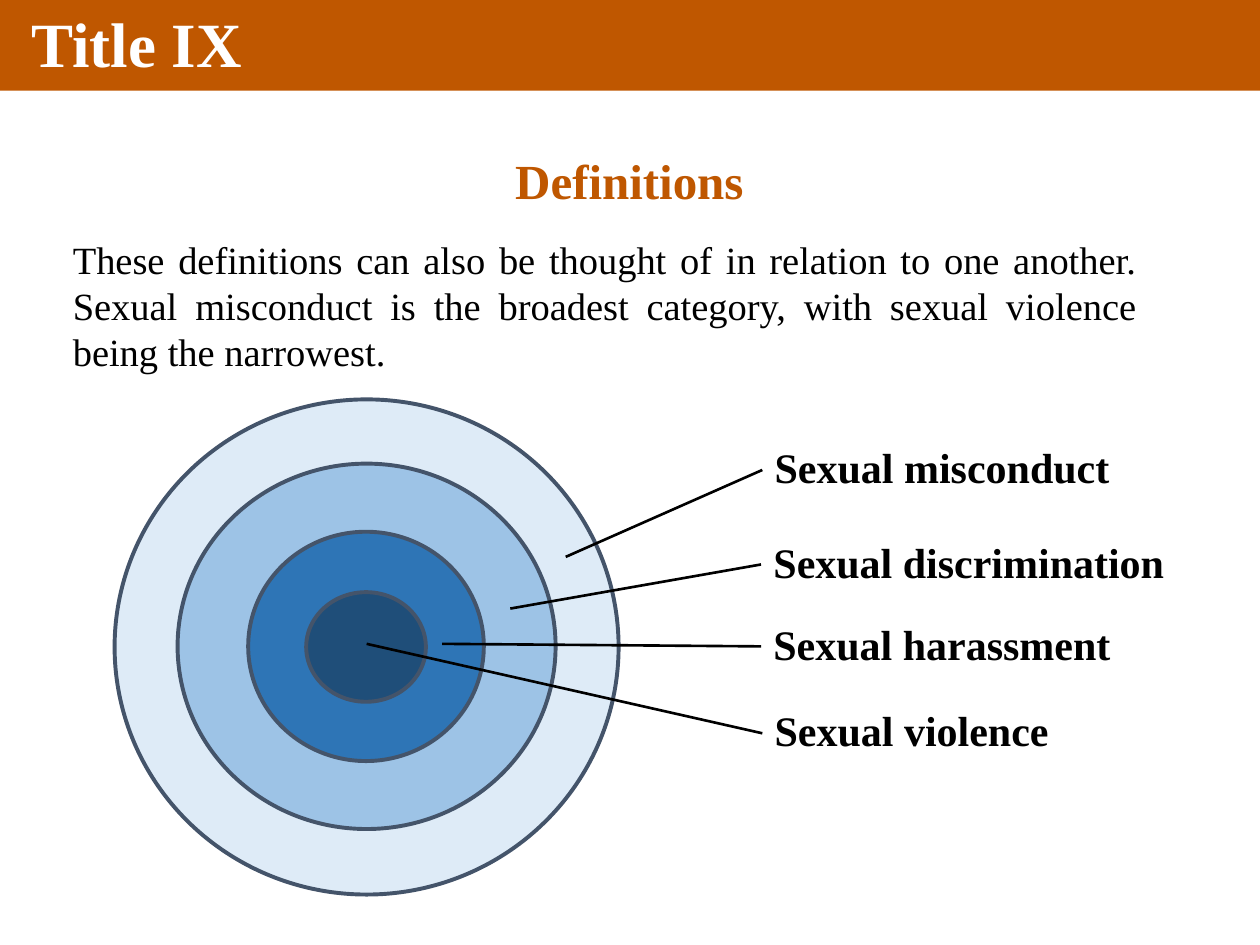
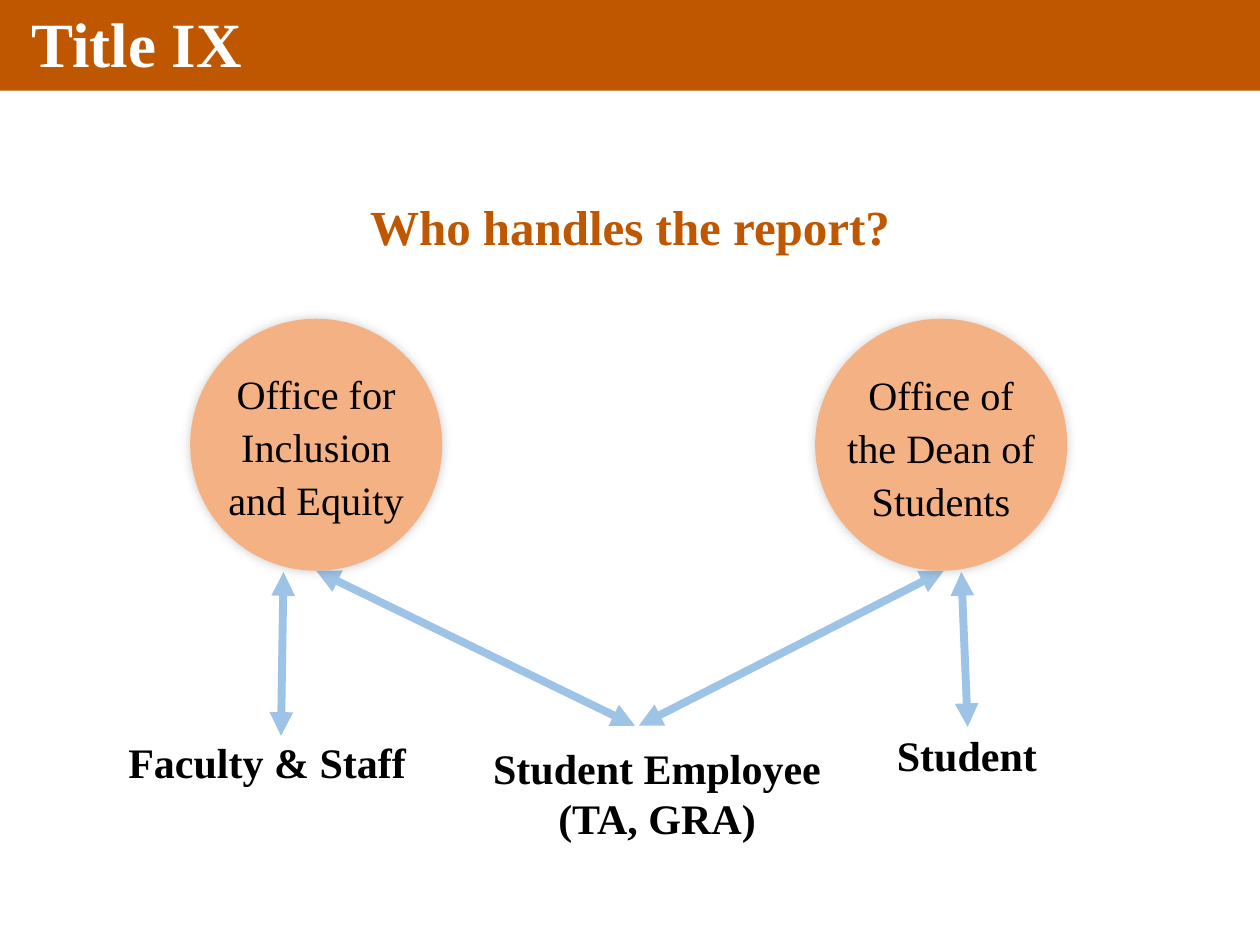
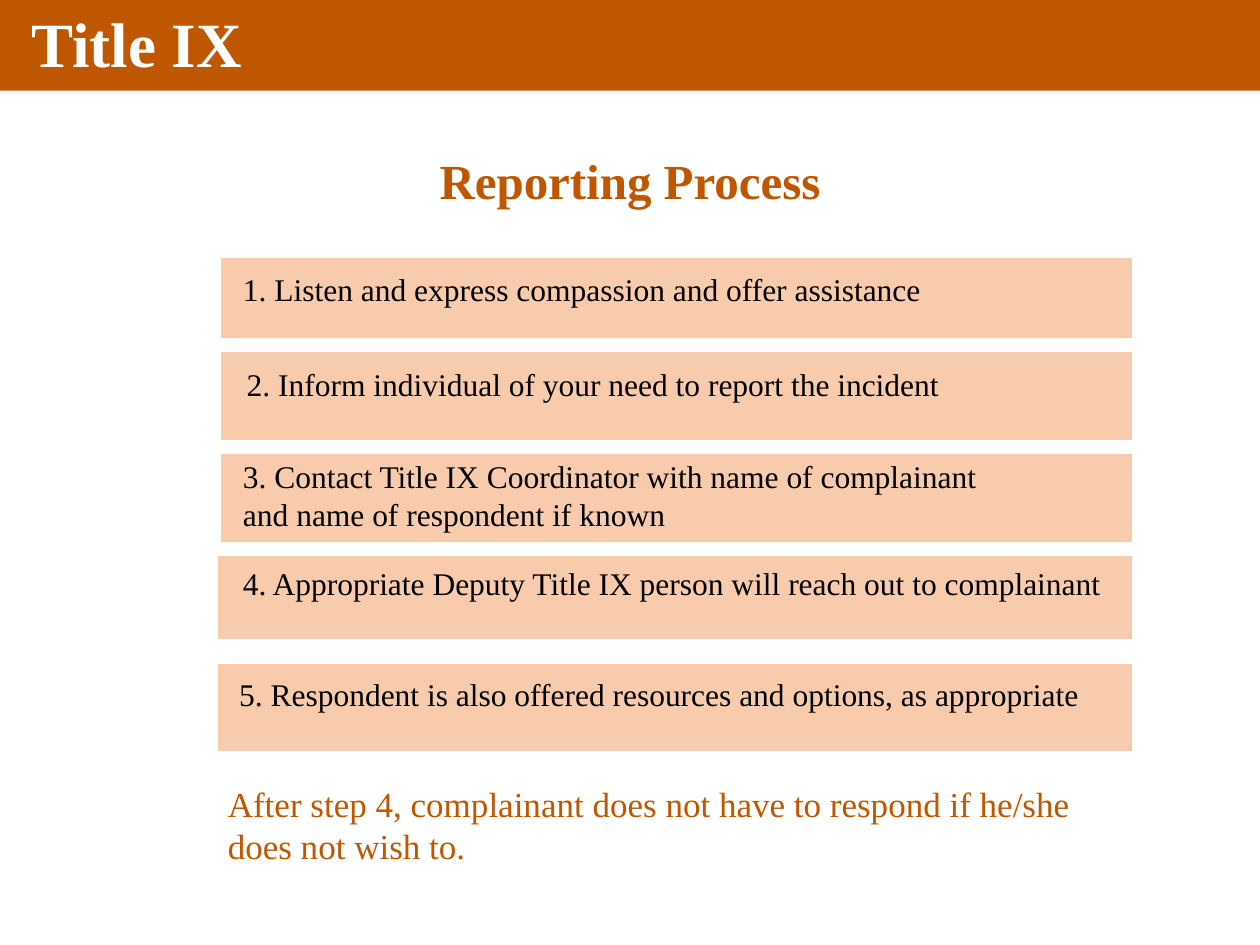
"""Build three Title IX slides: definitions, report handling and reporting process."""
import dataclasses

import lxml.etree
import pptx
import pptx.dml.color
import pptx.enum.shapes
import pptx.enum.text
import pptx.oxml.ns
import pptx.util

PX = 9144
SHAPE = pptx.enum.shapes.MSO_SHAPE
ALIGN = pptx.enum.text.PP_ALIGN
ANCHOR = pptx.enum.text.MSO_ANCHOR
FIT = pptx.enum.text.MSO_AUTO_SIZE
qn = pptx.oxml.ns.qn


@dataclasses.dataclass(frozen=True)
class Theme:
    """Colours, font and type sizes."""
    font: str = "Times New Roman"
    brand: str = "BF5700"
    white: str = "FFFFFF"
    black: str = "000000"
    ring_line: str = "44546A"
    rings: tuple = ("DEEBF7", "9DC3E6", "2E75B6", "1F4E79")
    arrow: str = "9DC3E6"
    office: str = "F4B183"
    step: str = "F8CBAD"
    banner_size: int = 36
    heading_size: int = 28
    label_size: int = 24
    office_size: int = 23
    body_size: int = 22
    note_size: int = 20
    step_size: int = 18


def px(*values):
    """Turn pixel lengths into EMU."""
    return [pptx.util.Emu(v * PX) for v in values]


def rgb(value):
    """Turn a hex string into a colour."""
    return pptx.dml.color.RGBColor.from_string(value)


class Deck:
    """Hold the style and the current slide, and draw elements on it."""

    def __init__(self, theme):
        """Start an empty 10 by 7.5 inch presentation."""
        self.theme = theme
        self.prs = pptx.Presentation()
        self.prs.slide_width, self.prs.slide_height = px(1000, 750)
        self.layout = self.prs.slide_layouts[5]
        self.s = None

    def slide(self, heading, left, top, width):
        """Add a slide with its heading in the title placeholder."""
        self.s = self.prs.slides.add_slide(self.layout)
        if len(self.prs.slides) == 1:
            self.banner("Title IX")
        title = self.s.shapes.title
        title.left, title.top, title.width, title.height = px(left, top, width, 114)
        self.fill_text(title, heading, self.theme.heading_size, self.theme.brand, True,
                       ALIGN.CENTER, 0.9, ANCHOR.MIDDLE, FIT.NONE)

    def banner(self, text):
        """Place the shared band and its text on the layout."""
        t = self.theme
        band = self.shape(SHAPE.RECTANGLE, (0, 0, 1000, 72), t.brand)
        name = self.text(text, (15, 1, 672, 72), t.banner_size, t.white, True,
                         spacing=0.9, anchor=ANCHOR.MIDDLE, fit=FIT.NONE)
        for i, sp in enumerate((band, name)):
            sp.element.nvSpPr.cNvPr.id = 20 + i
            self.layout.shapes.element.insert(2 + i, sp.element)

    def fill_text(self, sp, text, size, color, bold, align, spacing, anchor, fit,
                  wrap=True):
        """Fill a shape with formatted text."""
        tf = sp.text_frame
        tf.text = text
        tf.word_wrap = wrap
        tf.auto_size = fit
        tf.vertical_anchor = anchor
        for p in tf.paragraphs:
            p.alignment = align
            p.line_spacing = spacing
            for r in p.runs:
                r.font.name = self.theme.font
                r.font.size = pptx.util.Pt(size)
                r.font.bold = bold
                r.font.color.rgb = rgb(color)

    def text(self, text, box, size, color=None, bold=False, align=ALIGN.LEFT,
             spacing=None, anchor=ANCHOR.TOP, fit=FIT.SHAPE_TO_FIT_TEXT, wrap=True):
        """Add a text box."""
        sp = self.s.shapes.add_textbox(*px(*box))
        self.fill_text(sp, text, size, color or self.theme.black, bold, align, spacing,
                       anchor, fit, wrap)
        return sp

    def shape(self, kind, box, fill, line=None, width=0):
        """Add a filled preset shape, outlined when a line colour is given."""
        sp = self.s.shapes.add_shape(kind, *px(*box))
        sp.shadow.inherit = False
        sp.fill.solid()
        sp.fill.fore_color.rgb = rgb(fill)
        if line:
            sp.line.color.rgb = rgb(line)
            sp.line.width = pptx.util.Pt(width)
        else:
            sp.line.fill.background()
        return sp

    def line(self, start, end, color, width, arrows=False):
        """Add a straight connector, with arrowheads at both ends if asked."""
        c = self.s.shapes.add_connector(
            pptx.enum.shapes.MSO_CONNECTOR.STRAIGHT, *px(*start, *end))
        c.line.color.rgb = rgb(color)
        c.line.width = pptx.util.Pt(width)
        if arrows:
            for tag in ("a:headEnd", "a:tailEnd"):
                lxml.etree.SubElement(c.get_or_add_ln(), qn(tag), type="triangle")
        lxml.etree.SubElement(c.element.spPr, qn("a:effectLst"))
        return c

    def office(self, text, left, box):
        """Add a softly shadowed circle grouped with its text."""
        t = self.theme
        circle = self.shape(SHAPE.FLOWCHART_CONNECTOR, (left, 253, 200, 200), t.office)
        effects = circle.element.spPr.find(qn("a:effectLst"))
        shadow = lxml.etree.SubElement(effects, qn("a:outerShdw"), blurRad="76200",
                                       dist="0", dir="18900000", rotWithShape="0")
        color = lxml.etree.SubElement(shadow, qn("a:srgbClr"), val=t.black)
        lxml.etree.SubElement(color, qn("a:alpha"), val="20000")
        label = self.text(text, box, t.office_size, align=ALIGN.CENTER, spacing=1.1)
        self.s.shapes.add_group_shape([circle, label])


def definitions(deck):
    """Draw the nested categories with their labels."""
    t = deck.theme
    deck.slide("Definitions", 374, 89, 251)
    deck.text("These definitions can also be thought of in relation to one another. "
              "Sexual misconduct is the broadest category, with sexual violence being "
              "the narrowest.", (48, 182, 864, 121), t.body_size, align=ALIGN.JUSTIFY)
    cx, cy = 291, 513
    sizes = ((400, 393), (300, 290), (187, 182), (95, 87))
    for (w, h), fill in zip(sizes, t.rings):
        deck.shape(SHAPE.OVAL, (cx - (w + 1) // 2, cy - h // 2, w, h), fill,
                   t.ring_line, 2.25)
    labels = (
        ("Sexual misconduct", (605, 339, 287, 68), (449, 442)),
        ("Sexual discrimination", (604, 414, 365, 68), (405, 483)),
        ("Sexual harassment", (604, 479, 387, 68), (351, 511)),
        ("Sexual violence", (605, 548, 287, 68), (291, 511)),
    )
    for text, box, target in labels:
        label = deck.text(text, box, t.label_size, bold=True, spacing=0.9,
                          anchor=ANCHOR.MIDDLE, fit=FIT.NONE)
        deck.line(target, box[:2], t.black, 1.5).end_connect(label, 1)


def report_handling(deck):
    """Draw the offices and the groups that they serve."""
    t = deck.theme
    deck.slide("Who handles the report?", 252, 125, 496)
    arrows = (
        ((251, 453), (504, 576)),
        ((225, 454), (223, 584)),
        ((749, 453), (507, 576)),
        ((763, 454), (768, 577)),
    )
    for start, end in arrows:
        deck.line(start, end, t.arrow, 4.5, arrows=True)
    deck.office("Office for Inclusion and Equity", 151, (168, 284, 166, 138))
    deck.office("Office of the Dean of Students", 647, (657, 285, 180, 120))
    groups = (
        ("Faculty & Staff", (92, 580, 243, 50), ALIGN.LEFT),
        ("Student", (702, 574, 133, 50), ALIGN.LEFT),
        ("Student Employee\n(TA, GRA)", (380, 584, 283, 91), ALIGN.CENTER),
    )
    for text, box, align in groups:
        deck.text(text, box, t.label_size, bold=True, align=align, wrap=False)


def reporting_process(deck):
    """Draw the five steps and the closing note."""
    t = deck.theme
    deck.slide("Reporting Process", 312, 89, 376)
    right = 899
    steps = (
        ("1. Listen and express compassion and offer assistance",
         (175, 204, 65), (183, 209, 575, 71)),
        ("2. Inform individual of your need to report the incident",
         (175, 279, 71), (186, 285, 685, 40)),
        ("3. Contact Title IX Coordinator with name of complainant "
         "and name of respondent if known",
         (175, 360, 71), (183, 358, 621, 71)),
        ("4. Appropriate Deputy Title IX person will reach out to complainant",
         (172, 441, 67), (183, 443, 733, 71)),
        ("5. Respondent is also offered resources and options, as appropriate",
         (172, 526, 71), (180, 531, 719, 71)),
    )
    for text, (left, top, height), box in steps:
        deck.shape(SHAPE.RECTANGLE, (left, top, right - left, height), t.step, t.white, 1)
        deck.text(text, box, t.step_size)
    deck.text("After step 4, complainant does not have to respond if he/she does not "
              "wish to.", (171, 616, 716, 77), t.note_size, t.brand)


def main():
    """Build and save the presentation."""
    deck = Deck(Theme())
    definitions(deck)
    report_handling(deck)
    reporting_process(deck)
    deck.prs.save("out.pptx")


if __name__ == "__main__":
    main()
